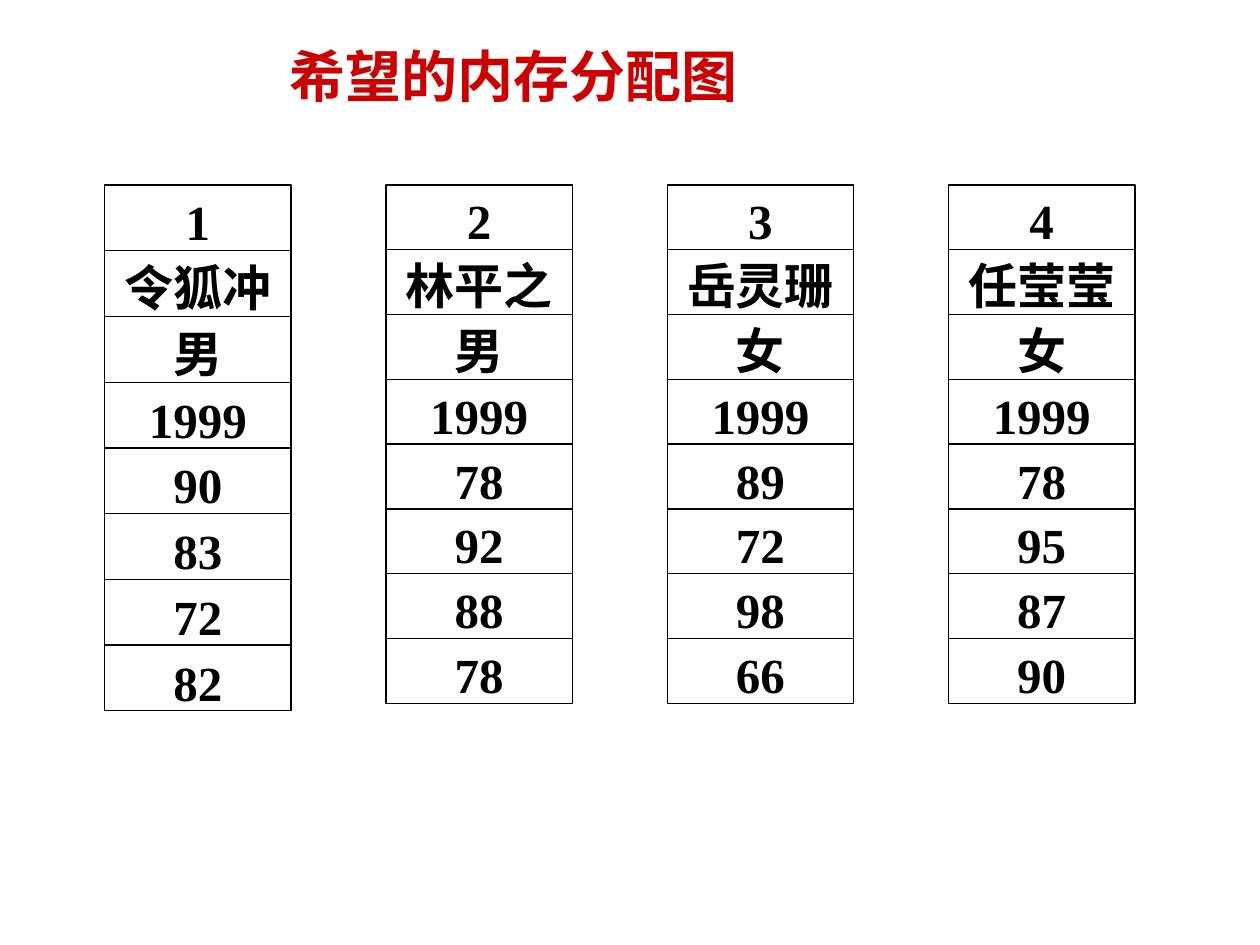
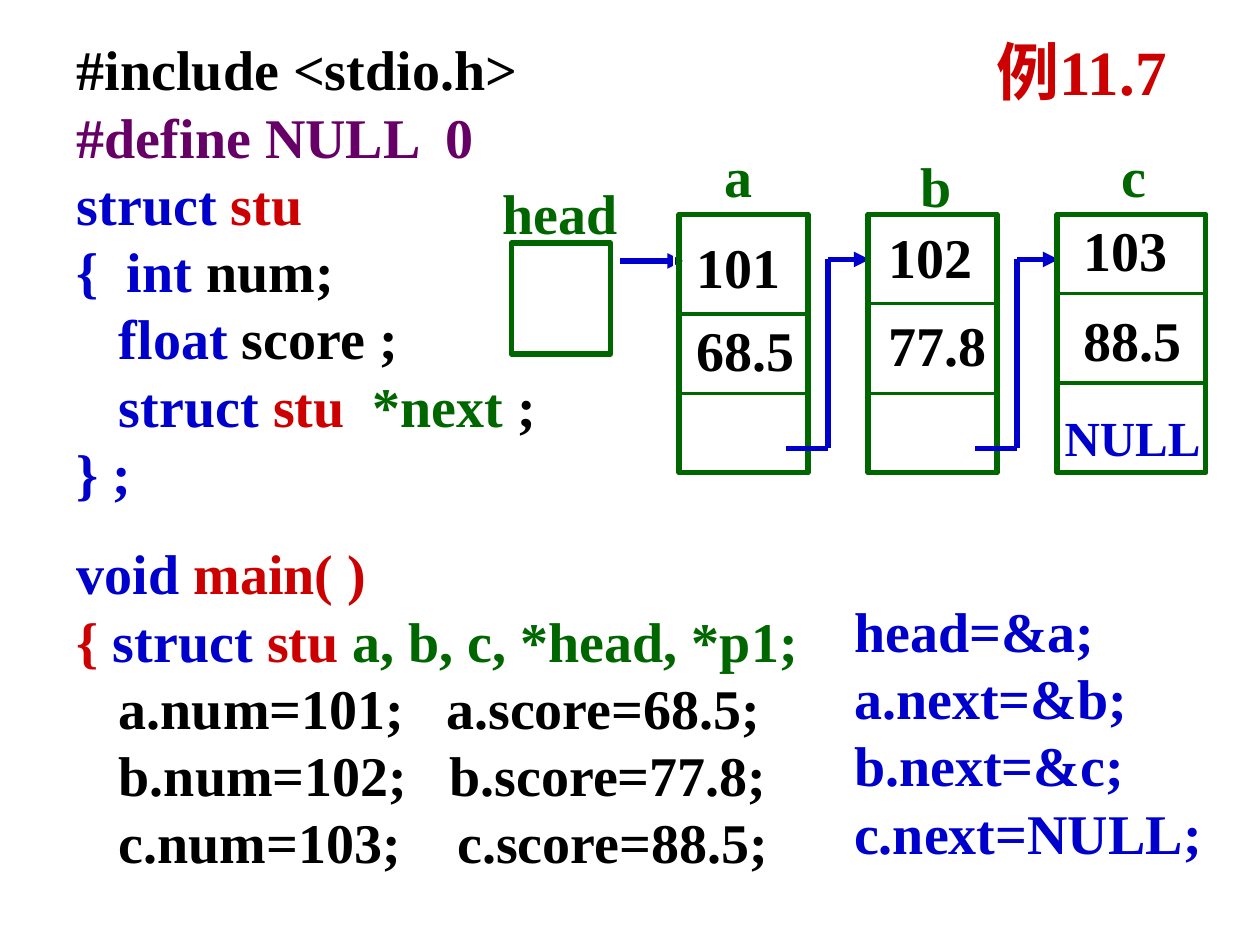
import dataclasses

import lxml.etree
import pptx
import pptx.dml.color
import pptx.enum.shapes
import pptx.enum.text
import pptx.oxml.ns
import pptx.util

Cm = pptx.util.Cm
Pt = pptx.util.Pt
ALIGN = pptx.enum.text.PP_ALIGN
ANCHOR = pptx.enum.text.MSO_ANCHOR


@dataclasses.dataclass(frozen=True)
class Theme:
    """Colours, font and sizes shared by both slides."""
    font: str = "Times New Roman"
    black: str = "000000"
    white: str = "FFFFFF"
    red: str = "CC0000"
    blue: str = "0000CC"
    green: str = "006600"
    purple: str = "660066"
    small: float = 28
    body: float = 32
    large: float = 36
    code_pitch: float = 38.4
    thin: float = 0.75
    divider: float = 2
    thick: float = 3


THEME = Theme()

STUDENTS = [
    ["1", "令狐冲", "男", "1999", "90", "83", "72", "82"],
    ["2", "林平之", "男", "1999", "78", "92", "88", "78"],
    ["3", "岳灵珊", "女", "1999", "89", "72", "98", "66"],
    ["4", "任莹莹", "女", "1999", "78", "95", "87", "90"],
]

STRUCT_CODE = [
    [("#include <stdio.h>", THEME.black)],
    [("#define NULL  0", THEME.purple)],
    [("struct ", THEME.blue), ("stu", THEME.red)],
    [("{  int ", THEME.blue), ("num;", THEME.black)],
    [("   float ", THEME.blue), ("score ;", THEME.black)],
    [("   struct ", THEME.blue), ("stu  ", THEME.red),
     ("*next", THEME.green), (" ;", THEME.black)],
    [("} ;", THEME.blue)],
]

MAIN_CODE = [
    [("void", THEME.blue), (" main( )", THEME.red)],
    [("{ ", THEME.red), ("struct ", THEME.blue), ("stu ", THEME.red),
     ("a, b, c, *head, *p1;", THEME.green)],
    [("   a.num=101;   a.score=68.5;", THEME.black)],
    [("   b.num=102;   b.score=77.8;", THEME.black)],
    [("   c.num=103;    c.score=88.5;", THEME.black)],
]

LINK_CODE = [[(line, THEME.blue)] for line in
             ("head=&a;", "a.next=&b;", "b.next=&c;", "c.next=NULL;")]


def rgb(value):
    """Turn a hex string into a colour."""
    return pptx.dml.color.RGBColor.from_string(value)


def write(frame, text, size=THEME.body, color=THEME.black, align=ALIGN.LEFT,
          anchor=ANCHOR.MIDDLE, pitch=None):
    """Fill a text frame with a string or with lines of coloured spans."""
    frame.word_wrap = True
    frame.vertical_anchor = anchor
    lines = [[(text, color)]] if isinstance(text, str) else text
    for index, line in enumerate(lines):
        para = frame.add_paragraph() if index else frame.paragraphs[0]
        para.alignment = align
        if pitch:
            para.line_spacing = Pt(pitch)
        for words, shade in line:
            span = para.add_run()
            span.text = words
            span.font.name = THEME.font
            span.font.size = Pt(size)
            span.font.bold = True
            span.font.color.rgb = rgb(shade)


def add_text(page, box, text, **style):
    """Place a text box in a box given in centimetres."""
    shape = page.shapes.add_textbox(*map(Cm, box))
    write(shape.text_frame, text, **style)


def add_code(page, box, lines):
    """Place a listing with an even line pitch."""
    add_text(page, box, lines, anchor=ANCHOR.TOP, pitch=THEME.code_pitch)


def add_title(page, box, text, size):
    """Place a red centred heading."""
    add_text(page, box, text, size=size, color=THEME.red, align=ALIGN.CENTER)


def add_rectangle(page, box, color, width, fill=None):
    """Draw an outlined rectangle, hollow unless a fill is given."""
    kind = pptx.enum.shapes.MSO_SHAPE.RECTANGLE
    shape = page.shapes.add_shape(kind, *map(Cm, box))
    shape.shadow.inherit = False
    shape.line.color.rgb = rgb(color)
    shape.line.width = Pt(width)
    if fill:
        shape.fill.solid()
        shape.fill.fore_color.rgb = rgb(fill)
    else:
        shape.fill.background()
    return shape


def add_line(page, start, end, color, width, arrow=False):
    """Draw a straight line, with an arrowhead at its end if asked."""
    kind = pptx.enum.shapes.MSO_CONNECTOR.STRAIGHT
    line = page.shapes.add_connector(kind, *map(Cm, (*start, *end)))
    line.line.color.rgb = rgb(color)
    line.line.width = Pt(width)
    qn = pptx.oxml.ns.qn
    if arrow:
        lxml.etree.SubElement(line.line._get_or_add_ln(), qn("a:tailEnd"), type="triangle")
    lxml.etree.SubElement(line._element.spPr, qn("a:effectLst"))


def add_record(page, box, values):
    """Stack one student's fields in equal cells."""
    left, top, width, height = box
    row = height / len(values)
    for index, value in enumerate(values):
        cell = add_rectangle(page, (left, top + index * row, width, row),
                             THEME.black, THEME.thin, THEME.white)
        frame = cell.text_frame
        frame.margin_top, frame.margin_bottom = Cm(0.1), Cm(0)
        write(frame, value, size=THEME.small, align=ALIGN.CENTER, anchor=ANCHOR.BOTTOM)


def add_values(page, box, first_row, values):
    """Place a plain one-column table with its text block centred."""
    left, top, width, height = box
    text_width = 1.96
    table = page.shapes.add_table(len(values), 1, *map(Cm, box)).table
    table.first_row = table.horz_banding = False
    for index, row_height in enumerate((first_row, height - first_row)):
        table.rows[index].height = Cm(row_height)
        cell = table.cell(index, 0)
        cell.fill.background()
        cell.margin_left, cell.margin_right = Cm((width - text_width) / 2), Cm(0)
        cell.vertical_anchor = ANCHOR.MIDDLE
        write(cell.text_frame, values[index])


def add_node(page, box, dividers):
    """Draw a list node split by horizontal dividers."""
    left, top, width, height = box
    add_rectangle(page, box, THEME.green, THEME.thick)
    for offset in dividers:
        add_line(page, (left, top + offset), (left + width, top + offset),
                 THEME.green, THEME.divider)


def add_link(page, box):
    """Lead a stepped arrow from the lower left to the upper right of a box."""
    left, top, width, height = box
    middle, right, bottom = left + width / 2, left + width, top + height
    for start, end, arrow in (((left, bottom), (middle, bottom), False),
                              ((middle, bottom), (middle, top), False),
                              ((middle, top), (right, top), True)):
        add_line(page, start, end, THEME.blue, THEME.thick, arrow)


def add_label(page, box, text):
    """Place a green centred variable name."""
    add_text(page, box, text, color=THEME.green, align=ALIGN.CENTER)


def add_linked_list(page, box):
    """Draw the head pointer and the three linked nodes."""
    left, top, width, height = box
    pitch, node_left = 3.81, left + 3.38
    add_label(page, (left - 0.52, top - 0.74, 3, 1.4), "head")
    add_rectangle(page, (left, top + 0.58, 2, 2.24), THEME.green, THEME.thick)
    add_line(page, (left + 2.19, top + 0.94), (left + 3.46, top + 0.94),
             THEME.blue, THEME.thick, True)
    nodes = [
        ("a", -1.32, 2.6, (2.01, 3.61), (-0.1, 0.25, 2.87, 3.35), 1.73, ("101", "68.5")),
        ("b", -1.12, 2.6, (1.8, 3.61), (0, -0.03, 2.79, 3.53), 1.9, ("102", "77.8")),
        ("c", -1.32, 3, (1.6, 3.4), (0.25, -0.2, 2.51, 3.6), 1.96, ("103", "88.5")),
    ]
    for index, (name, rise, node_width, dividers, area, first_row, values) in enumerate(nodes):
        x = node_left + index * pitch
        add_label(page, (x + 0.03 + index * 0.18, top + rise, 2.34, 1.07), name)
        add_values(page, (x + area[0], top + area[1], *area[2:]), first_row, values)
        add_node(page, (x, top, node_width, height), dividers)
        if index < len(nodes) - 1:
            add_link(page, (x + 2.16, top + 0.91, 1.68, 3.81))
    add_text(page, (node_left + 2 * pitch - 0.1, top + 3.88, 3.43, 1.2), "NULL",
             size=THEME.small, color=THEME.blue)


def build_memory_page(page):
    """Build the slide of four student records."""
    add_title(page, (1.56, 0.71, 17.6, 1.6), "希望的内存分配图", THEME.body)
    for index, values in enumerate(STUDENTS):
        height = 10.45 if index else 10.6
        add_record(page, (2.11 + index * 5.67, 3.73, 3.76, height), values)


def build_list_page(page):
    """Build the slide with the code and its linked list."""
    add_code(page, (1.3, 0.58, 10.6, 9.8), STRUCT_CODE)
    add_code(page, (16.97, 11.9, 7.87, 5.7), LINK_CODE)
    add_title(page, (18.9, 0.53, 5.82, 1.78), "例11.7", THEME.large)
    add_code(page, (1.3, 10.74, 15.4, 7.04), MAIN_CODE)
    add_linked_list(page, (10.31, 4.32, 14, 5.21))


def main():
    """Build and save the deck."""
    deck = pptx.Presentation()
    deck.slide_width, deck.slide_height = Cm(25.4), Cm(19.05)
    for build in (build_memory_page, build_list_page):
        build(deck.slides.add_slide(deck.slide_layouts[6]))
    deck.save("out.pptx")


if __name__ == "__main__":
    main()
